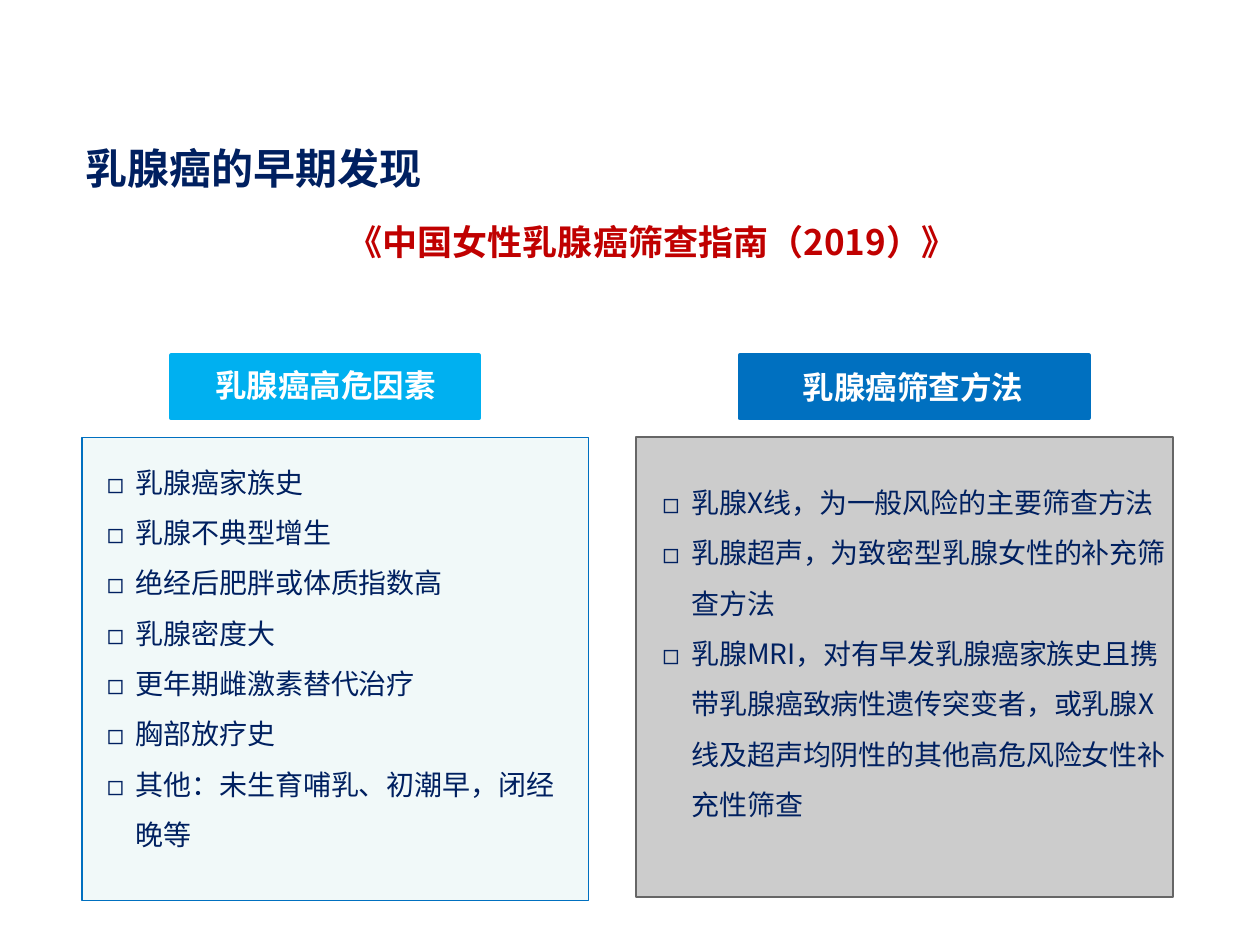
from dataclasses import dataclass

from lxml.etree import SubElement
from pptx import Presentation
from pptx.dml.color import RGBColor
from pptx.enum.shapes import MSO_SHAPE
from pptx.enum.text import MSO_ANCHOR, MSO_AUTO_SIZE, PP_ALIGN
from pptx.oxml.ns import qn
from pptx.util import Emu, Pt

PX = 9144  # one px is 1/100 inch
FONT = "Noto Sans CJK SC"
COLORS = {
    "navy": "002060", "red": "C00000", "white": "FFFFFF",
    "sky": "00B0F0", "blue": "0070C0",
    "mint": "F1F9F9", "silver": "CCCCCC", "gray": "666666",
}


@dataclass(frozen=True)
class Box:
    left: int
    top: int
    width: int
    height: int

    def emu(self) -> list[Emu]:
        return [Emu(v * PX) for v in (self.left, self.top, self.width, self.height)]


@dataclass(frozen=True)
class Column:
    heading: str
    header: Box
    header_color: str
    label: Box
    panel: Box
    panel_fill: str
    panel_line: str
    line_width: float
    body: Box
    items: tuple[str, ...]


COLUMNS = (
    Column("乳腺癌高危因素", Box(136, 282, 244, 50), "sky", Box(161, 286, 195, 40),
           Box(65, 347, 402, 368), "mint", "blue", 0.75, Box(75, 351, 376, 397),
           ("乳腺癌家族史", "乳腺不典型增生", "绝经后肥胖或体质指数高", "乳腺密度大",
            "更年期雌激素替代治疗", "胸部放疗史", "其他：未生育哺乳、初潮早，闭经晚等")),
    Column("乳腺癌筛查方法", Box(587, 282, 277, 50), "blue", Box(627, 287, 195, 40),
           Box(505, 347, 426, 365), "silver", "gray", 1, Box(516, 367, 430, 293),
           ("乳腺X线，为一般风险的主要筛查方法",
            "乳腺超声，为致密型乳腺女性的补充筛查方法",
            "乳腺MRI，对有早发乳腺癌家族史且携带乳腺癌致病性遗传突变者，"
            "或乳腺X线及超声均阴性的其他高危风险女性补充性筛查")),
)


def rgb(name: str) -> RGBColor:
    return RGBColor.from_string(COLORS[name])


def add_box(s, box: Box, fill: str, line: str | None = None, width: float = 1,
            kind=MSO_SHAPE.RECTANGLE):
    sp = s.shapes.add_shape(kind, *box.emu())
    sp.shadow.inherit = False
    sp.fill.solid()
    sp.fill.fore_color.rgb = rgb(fill)
    if line:
        sp.line.color.rgb = rgb(line)
        sp.line.width = Pt(width)
    else:
        sp.line.fill.background()
    return sp


def write(tf, text: str, size: int, color: str, bold: bool = False,
          align=PP_ALIGN.LEFT) -> None:
    tf.text = text
    for p in tf.paragraphs:
        p.alignment = align
        for r in p.runs:
            r.font.name = FONT
            r.font.size = Pt(size)
            r.font.bold = bold
            r.font.color.rgb = rgb(color)
            SubElement(r.font._element, qn("a:ea")).set("typeface", FONT)


def add_text(s, box: Box, text: str, size: int, color: str, wrap: bool = False, **style):
    tf = s.shapes.add_textbox(*box.emu()).text_frame
    tf.word_wrap = wrap
    tf.auto_size = MSO_AUTO_SIZE.SHAPE_TO_FIT_TEXT
    write(tf, text, size, color, **style)
    return tf


def add_bullets(s, box: Box, items: tuple[str, ...]) -> None:
    tf = add_text(s, box, "\n".join(items), 16, "navy", wrap=True)
    for p in tf.paragraphs:
        p.line_spacing = 1.5
        pPr = p._p.get_or_add_pPr()
        pPr.set("marL", str(23 * PX))
        pPr.set("indent", str(-23 * PX))
        SubElement(pPr, qn("a:buFont")).set("typeface", FONT)
        SubElement(pPr, qn("a:buChar")).set("char", "◻")


def add_column(s, col: Column) -> None:
    add_box(s, col.panel, col.panel_fill, col.panel_line, col.line_width)
    add_box(s, col.header, col.header_color, col.header_color, 2.25)
    add_text(s, col.label, col.heading, 18, "white", bold=True, align=PP_ALIGN.CENTER)
    add_bullets(s, col.body, col.items)


def main() -> None:
    prs = Presentation()
    prs.slide_width, prs.slide_height = Emu(1000 * PX), Emu(750 * PX)
    s = prs.slides.add_slide(prs.slide_layouts[6])

    # Title
    add_text(s, Box(58, 108, 287, 50), "乳腺癌的早期发现", 24, "navy", bold=True)

    # Guideline name, raised above the middle of its box
    sp = add_box(s, Box(180, 159, 675, 102), "white", kind=MSO_SHAPE.ROUNDED_RECTANGLE)
    tf = sp.text_frame
    tf.word_wrap = True
    tf.vertical_anchor = MSO_ANCHOR.MIDDLE
    tf.margin_bottom = Emu(41 * PX)
    write(tf, "《中国女性乳腺癌筛查指南（2019）》", 20, "red", bold=True, align=PP_ALIGN.CENTER)

    # Risk factors and screening methods
    for col in COLUMNS:
        add_column(s, col)

    prs.save("out.pptx")


if __name__ == "__main__":
    main()
